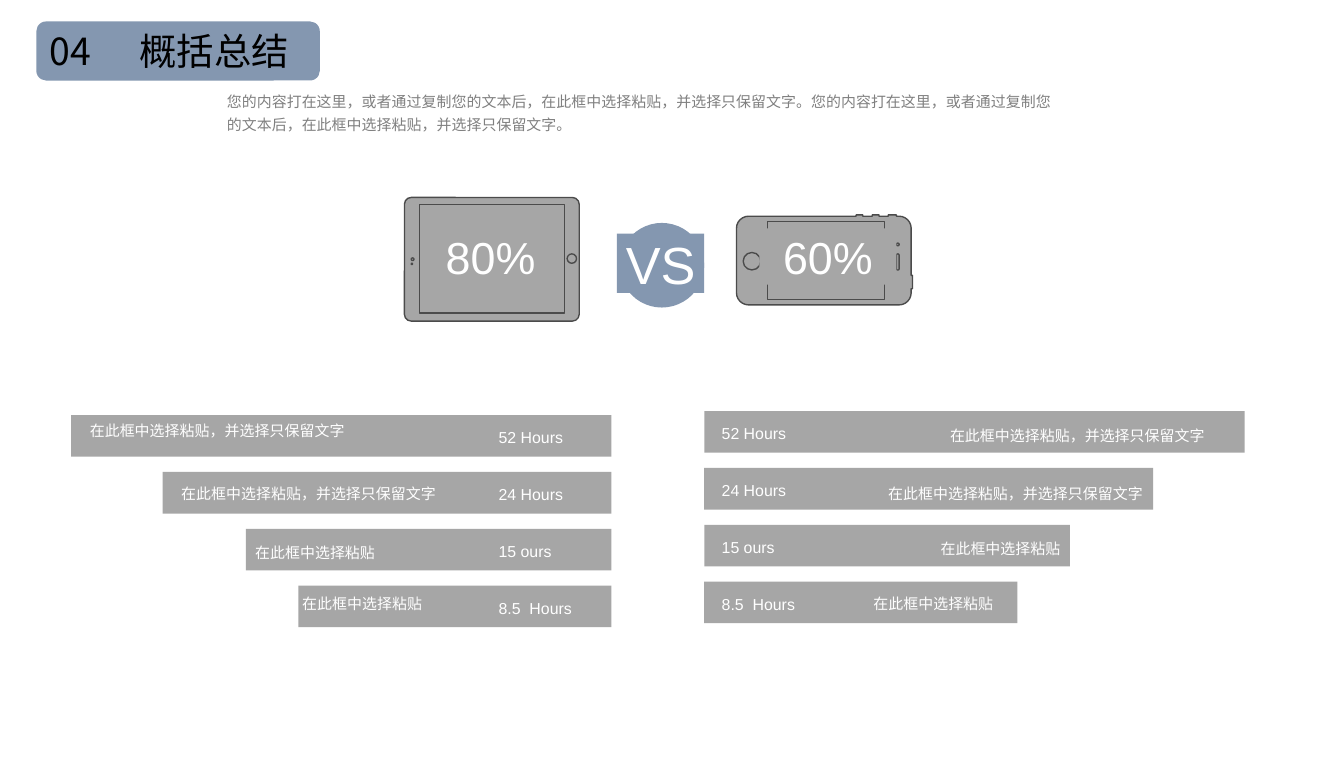
import math

import pptx
import pptx.dml.color
import pptx.enum.shapes
import pptx.enum.text
import pptx.oxml.ns
import pptx.util
from lxml import etree

Inches = pptx.util.Inches
Pt = pptx.util.Pt
RGBColor = pptx.dml.color.RGBColor
SHAPE = pptx.enum.shapes.MSO_SHAPE
ALIGN = pptx.enum.text.PP_ALIGN
ANCHOR = pptx.enum.text.MSO_ANCHOR
AUTO_SIZE = pptx.enum.text.MSO_AUTO_SIZE

BLUE = RGBColor(0x84, 0x97, 0xB0)
GREY = RGBColor(0xA6, 0xA6, 0xA6)
OUTLINE = RGBColor(0x4B, 0x4B, 0x4B)
BODY = RGBColor(0x80, 0x80, 0x80)
BLACK = RGBColor(0, 0, 0)
WHITE = RGBColor(0xFF, 0xFF, 0xFF)
LATIN = "Arial"
CHINESE = "Noto Sans CJK SC"


class Painter:
    """Holds the style and the current slide."""

    def __init__(self, slide):
        self.slide = slide

    def finish(self, shape, fill, outlined):
        shape.shadow.inherit = False
        shape.fill.solid()
        shape.fill.fore_color.rgb = fill
        if outlined:
            shape.line.color.rgb = OUTLINE
            shape.line.width = Pt(0.75)
        else:
            shape.line.fill.background()
        return shape

    def shape(self, kind, left, top, width, height, fill=GREY, outlined=False, radius=None):
        shape = self.slide.shapes.add_shape(
            kind, Inches(left), Inches(top), Inches(width), Inches(height))
        if radius is not None:
            shape.adjustments[0] = radius / min(width, height)
        return self.finish(shape, fill, outlined)

    def outline(self, contours):
        builder = None
        for contour in contours:
            points = [(Inches(x), Inches(y)) for x, y in contour]
            if builder is None:
                builder = self.slide.shapes.build_freeform(*points[0])
            else:
                builder.move_to(*points[0])
            builder.add_line_segments(points[1:], close=True)
        return self.finish(builder.convert_to_shape(), GREY, True)

    def add_span(self, paragraph, text, size, color, font):
        span = paragraph.add_run()
        span.text = text
        span.font.size = Pt(size)
        span.font.color.rgb = color
        span.font.name = font
        properties = span._r.get_or_add_rPr()
        east_asian = etree.SubElement(properties, pptx.oxml.ns.qn("a:ea"))
        east_asian.set("typeface", font)

    def label(self, shape, text, size, align=ALIGN.CENTER):
        frame = shape.text_frame
        frame.margin_left = frame.margin_right = frame.margin_top = frame.margin_bottom = 0
        frame.vertical_anchor = ANCHOR.MIDDLE
        paragraph = frame.paragraphs[0]
        paragraph.alignment = align
        self.add_span(paragraph, text, size, WHITE, LATIN)
        return paragraph

    def text(self, text, left, top, width, height, size, color, wrap=True):
        box = self.slide.shapes.add_textbox(
            Inches(left), Inches(top), Inches(width), Inches(height))
        box.text_frame.word_wrap = wrap
        box.text_frame.auto_size = AUTO_SIZE.SHAPE_TO_FIT_TEXT
        paragraph = box.text_frame.paragraphs[0]
        self.add_span(paragraph, text, size, color, CHINESE)
        return paragraph


def corner(x, y, radius, start):
    """Points of a quarter circle, clockwise from the start angle."""
    angles = [math.radians(start + step * 15) for step in range(7)]
    return [(x + radius * math.cos(a), y + radius * math.sin(a)) for a in angles]


def draw_heading(painter):
    painter.shape(SHAPE.ROUNDED_RECTANGLE, 0.27, 0.16, 2.11, 0.44, BLUE)
    painter.text("04", 0.27, 0.16, 0.53, 0.44, 20, BLACK, wrap=False)
    painter.text("概括总结", 0.94, 0.16, 1.32, 0.44, 20, BLACK, wrap=False)
    sentence = "您的内容打在这里，或者通过复制您的文本后，在此框中选择粘贴，并选择只保留文字。"
    intro = painter.text(sentence * 2, 1.59, 0.6, 6.44, 0.43, 8, BODY)
    intro.line_spacing = 1.3


def draw_badge(painter):
    painter.shape(SHAPE.OVAL, 4.61, 1.66, 0.63, 0.63, BLUE)
    plate = painter.shape(SHAPE.RECTANGLE, 4.59, 1.74, 0.65, 0.44, BLUE)
    painter.label(plate, "VS", 28)


def draw_tablet(painter):
    painter.shape(SHAPE.ROUNDED_RECTANGLE, 3.01, 1.47, 1.3, 0.92, outlined=True, radius=0.05)
    painter.shape(SHAPE.RECTANGLE, 3.12, 1.52, 1.08, 0.81, outlined=True)
    # Camera, sensor and home button
    for left, top, size in ((3.06, 1.92, 0.02), (3.06, 1.96, 0.01), (4.22, 1.89, 0.07)):
        painter.shape(SHAPE.OVAL, left, top, size, size, outlined=True)
    painter.label(painter.shape(SHAPE.RECTANGLE, 3.14, 1.7, 1.02, 0.42), "80%", 24)


def draw_phone(painter):
    left, top, right, bottom, radius = 5.48, 1.61, 6.78, 2.27, 0.09
    painter.shape(SHAPE.RECTANGLE, 5.71, 1.65, 0.87, 0.58)
    # Body with three buttons on top, one on the right, and a screen opening
    body = corner(left + radius, top + radius, radius, 180)
    for start, end in ((6.37, 6.42), (6.49, 6.54), (6.61, 6.67)):
        body += [(start, top), (start, top - 0.01), (end, top - 0.01), (end, top)]
    body += corner(right - radius, top + radius, radius, 270)
    body += [(right, 2.05), (right + 0.01, 2.05), (right + 0.01, 2.15), (right, 2.15)]
    body += corner(right - radius, bottom - radius, radius, 0)
    body += corner(left + radius, bottom - radius, radius, 90)
    screen = [(5.71, 2.23), (5.71, 1.65), (6.58, 1.65), (6.58, 2.23)]
    painter.outline([body, screen])
    # Home button, camera and speaker
    painter.shape(SHAPE.OVAL, 5.53, 1.88, 0.13, 0.13, outlined=True)
    painter.shape(SHAPE.OVAL, 6.67, 1.81, 0.02, 0.02, outlined=True)
    painter.shape(SHAPE.ROUNDED_RECTANGLE, 6.67, 1.89, 0.02, 0.12, outlined=True, radius=0.01)
    painter.label(painter.shape(SHAPE.RECTANGLE, 5.65, 1.7, 1.02, 0.42), "60%", 24)


def draw_bars(painter):
    short = "在此框中选择粘贴"
    long = short + "，并选择只保留文字"
    # Bar width, hours, caption, then left and top of the caption on each side
    rows = (
        (4.02, "52 Hours", long, (0.57, 3.09), (6.97, 3.13)),
        (3.34, "24 Hours", long, (1.25, 3.56), (6.51, 3.56)),
        (2.72, "15 ours", short, (1.8, 4.0), (6.9, 3.97)),
        (2.33, "8.5  Hours", short, (2.15, 4.38), (6.4, 4.38)),
    )
    pitch = 1.27 / 3
    for index, (width, hours, caption, *places) in enumerate(rows):
        sides = ((4.55 - width, 3.09, 3.71), (5.24, 3.06, 5.37))
        for (left, first_top, hours_left), place in zip(sides, places):
            top = first_top + index * pitch
            painter.shape(SHAPE.RECTANGLE, left, top, width, 0.31)
            tag = painter.shape(SHAPE.RECTANGLE, hours_left, top + 0.07, 0.7, 0.17)
            paragraph = painter.label(tag, hours, 8.5, ALIGN.LEFT)
            paragraph.line_spacing = Pt(12)
            paragraph.space_after = Pt(6)
            painter.text(caption, *place, 2.11, 0.24, 8, WHITE)


def main():
    deck = pptx.Presentation()
    deck.slide_width = Inches(10)
    deck.slide_height = Inches(5.71)
    painter = Painter(deck.slides.add_slide(deck.slide_layouts[6]))
    draw_heading(painter)
    draw_badge(painter)
    draw_tablet(painter)
    draw_phone(painter)
    draw_bars(painter)
    deck.save("out.pptx")


if __name__ == "__main__":
    main()
